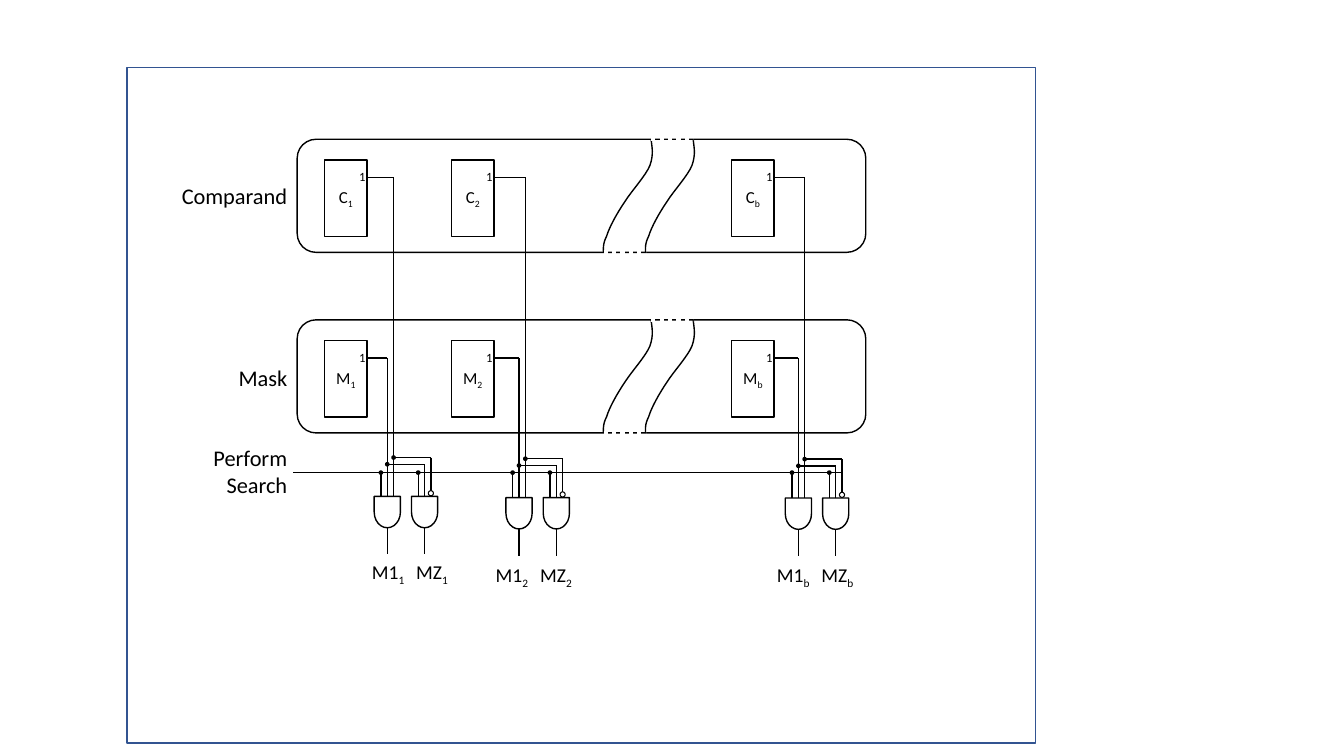
import pptx
import pptx.util
from lxml import etree
from pptx.dml.color import RGBColor
from pptx.enum.dml import MSO_LINE
from pptx.enum.shapes import MSO_CONNECTOR, MSO_SHAPE
from pptx.enum.text import MSO_ANCHOR, MSO_AUTO_SIZE, PP_ALIGN
from pptx.oxml.ns import qn
from pptx.util import Cm

BLACK = RGBColor(0x00, 0x00, 0x00)
WHITE = RGBColor(0xFF, 0xFF, 0xFF)
BLUE = RGBColor(0x32, 0x54, 0x91)

REGISTER_LEFT, REGISTER_W, REGISTER_H = 7.49, 14.33, 2.85
REGISTERS = [("C", 3.51), ("M", 8.06)]
CELL_W, CELL_H = 1.07, 1.93
WAVE_START = (8.92, 0)
WAVE_CURVES = [
    ((8.94, 0.2), (8.99, 0.38), (8.89, 0.66)),
    ((8.79, 0.91), (8.43, 1.3), (8.26, 1.57)),
    ((8.05, 1.88), (7.87, 2.21), (7.8, 2.44)),
    ((7.7, 2.64), (7.72, 2.74), (7.72, 2.85)),
]
GAP = 1.06
BITS = [
    ("1", 8.18, 9.76, 0, 9.12, 13.98),
    ("2", 11.38, 13.08, 0.03, 12.24, 14.05),
    ("b", 18.44, 20.12, 0.04, 19.33, 14.05),
]
PIN, GATE_STEP = 0.16, 0.94
GATE_W, GATE_H = 0.66, 0.79
BUS_Y, COMPARAND_TAP_Y, MASK_TAP_Y, GATE_TOP = 11.91, 11.53, 11.7, 12.51
LABELS = [
    (["Comparand"], 4.47, 3.2, 0.94),
    (["Mask"], 9.04, 1.75, 0.94),
    (["Perform", "Search"], 11.07, 2.39, 1.63),
]


class Diagram:
    """Draws circuit elements in one style on the current slide; lengths in centimetres."""

    font_name = "Calibri"
    line_width = 1

    def __init__(self, s):
        self.s = s

    def shape(self, kind, x, y, w, h, fill=None, color=BLACK, width=line_width):
        sp = self.s.shapes.add_shape(kind, Cm(x), Cm(y), Cm(w), Cm(h))
        sp.shadow.inherit = False
        if fill is None:
            sp.fill.background()
        else:
            sp.fill.solid()
            sp.fill.fore_color.rgb = fill
        sp.line.color.rgb = color
        sp.line.width = pptx.util.Pt(width)
        return sp

    def circle(self, x, y, d, fill, width=line_width):
        self.shape(MSO_SHAPE.OVAL, x - d / 2, y - d / 2, d, d, fill, width=width)

    def dot(self, x, y):
        self.circle(x, y, 0.08, BLACK)

    def line(self, x1, y1, x2, y2, color=BLACK, width=line_width, dash=None):
        c = self.s.shapes.add_connector(
            MSO_CONNECTOR.STRAIGHT, Cm(x1), Cm(y1), Cm(x2), Cm(y2))
        c.line.color.rgb = color
        c.line.width = pptx.util.Pt(width)
        if dash is not None:
            c.line.dash_style = dash
        etree.SubElement(c._element.spPr, qn("a:effectLst"))

    def wire(self, *points):
        for start, end in zip(points, points[1:]):
            self.line(*start, *end)

    def set_text(self, p, text, size, align, sub=""):
        p.alignment = align
        p.font.name = self.font_name
        p.font.size = pptx.util.Pt(size)
        p.font.color.rgb = BLACK
        p.add_run().text = text
        if sub:
            r = p.add_run()
            r.text = sub
            r._r.get_or_add_rPr().set("baseline", "-25000")

    def center(self, sp, text, size, sub=""):
        tf = sp.text_frame
        tf.margin_left = tf.margin_right = tf.margin_top = tf.margin_bottom = 0
        tf.word_wrap = False
        tf.vertical_anchor = MSO_ANCHOR.MIDDLE
        self.set_text(tf.paragraphs[0], text, size, PP_ALIGN.CENTER, sub)

    def label(self, lines, x, y, w, h, size, align=PP_ALIGN.LEFT, sub=""):
        tf = self.s.shapes.add_textbox(Cm(x), Cm(y), Cm(w), Cm(h)).text_frame
        tf.word_wrap = False
        tf.auto_size = MSO_AUTO_SIZE.SHAPE_TO_FIT_TEXT
        for i, text in enumerate(lines):
            p = tf.add_paragraph() if i else tf.paragraphs[0]
            self.set_text(p, text, size, align, sub)

    def wave(self, x, y, steps=8):
        points, start = [], WAVE_START
        for a, b, end in WAVE_CURVES:
            for t in (i / steps for i in range(1, steps + 1)):
                u = 1 - t
                px, py = (
                    u**3 * p0 + 3 * u * u * t * p1 + 3 * u * t * t * p2 + t**3 * p3
                    for p0, p1, p2, p3 in zip(start, a, b, end))
                points.append((Cm(x + px), Cm(y + py)))
            start = end
        builder = self.s.shapes.build_freeform(Cm(x + WAVE_START[0]), Cm(y + WAVE_START[1]))
        builder.add_line_segments(points, close=False)
        sp = builder.convert_to_shape()
        sp.shadow.inherit = False
        sp.fill.background()
        sp.line.color.rgb = BLACK
        sp.line.width = pptx.util.Pt(self.line_width)

    def register(self, y):
        x = REGISTER_LEFT
        self.shape(MSO_SHAPE.ROUNDED_RECTANGLE, x, y, REGISTER_W, REGISTER_H)
        for offset in (0, GAP):
            self.wave(x + offset, y)
        for edge_x, edge_y in (WAVE_START, WAVE_CURVES[-1][-1]):
            self.line(x + edge_x, y + edge_y, x + edge_x + GAP, y + edge_y,
                      WHITE, 3, MSO_LINE.ROUND_DOT)

    def cell(self, name, bit, x, y):
        sp = self.shape(MSO_SHAPE.FLOWCHART_PROCESS, x, y, CELL_W, CELL_H)
        self.center(sp, name, 12, bit)
        output = self.s.shapes.add_textbox(Cm(x + 0.86), Cm(y + 0.3), Cm(0.18), Cm(0.25))
        self.center(output, "1", 9)

    def gate(self, x, top):
        sp = self.shape(MSO_SHAPE.FLOWCHART_DELAY, x - GATE_H / 2,
                        top + (GATE_H - GATE_W) / 2, GATE_H, GATE_W)
        sp.rotation = 90
        self.line(x, top + GATE_H, x, top + GATE_H + 0.67)

    def match_logic(self, cell_x, x, dy):
        top = GATE_TOP + dy
        comparand_y, mask_y = COMPARAND_TAP_Y + dy, MASK_TAP_Y + dy
        cell_right = cell_x + CELL_W
        comparand_x, zero_x = x + PIN, x + GATE_STEP
        for wire_x, (name, register_y) in zip((comparand_x, x), REGISTERS):
            y = register_y + 0.96
            self.wire((cell_right, y), (wire_x, y), (wire_x, top))
        self.wire((comparand_x, comparand_y), (zero_x + PIN, comparand_y), (zero_x + PIN, top))
        self.wire((x, mask_y), (zero_x, mask_y), (zero_x, top))
        self.dot(comparand_x, comparand_y)
        self.dot(x, mask_y)
        for gate_x in (x, zero_x):
            self.line(gate_x - PIN, BUS_Y, gate_x - PIN, top)
            self.dot(gate_x - PIN, BUS_Y)
            self.gate(gate_x, top)
        self.circle(zero_x + PIN, top - 0.08, 0.13, WHITE, 0.75)


def main():
    prs = pptx.Presentation()
    prs.slide_width, prs.slide_height = Cm(33.87), Cm(19.05)
    d = Diagram(prs.slides.add_slide(prs.slide_layouts[6]))

    d.shape(MSO_SHAPE.RECTANGLE, 3.2, 1.7, 22.89, 17.02, color=BLUE)
    for name, y in REGISTERS:
        d.register(y)
        for bit, cell_x, *rest in BITS:
            d.cell(name, bit, cell_x, y + 0.52)
    for lines, y, w, h in LABELS:
        d.label(lines, REGISTER_LEFT - w, y, w, h, 16, PP_ALIGN.RIGHT)
    d.line(7.39, BUS_Y, 21.23, BUS_Y)
    for bit, cell_x, gate_x, dy, label_x, label_y in BITS:
        d.match_logic(cell_x, gate_x, dy)
        for i, output in enumerate(("M1", "MZ")):
            d.label([output], label_x + 1.12 * i, label_y, 1.37, 0.86, 14, sub=bit)
    prs.save("out.pptx")


if __name__ == "__main__":
    main()
